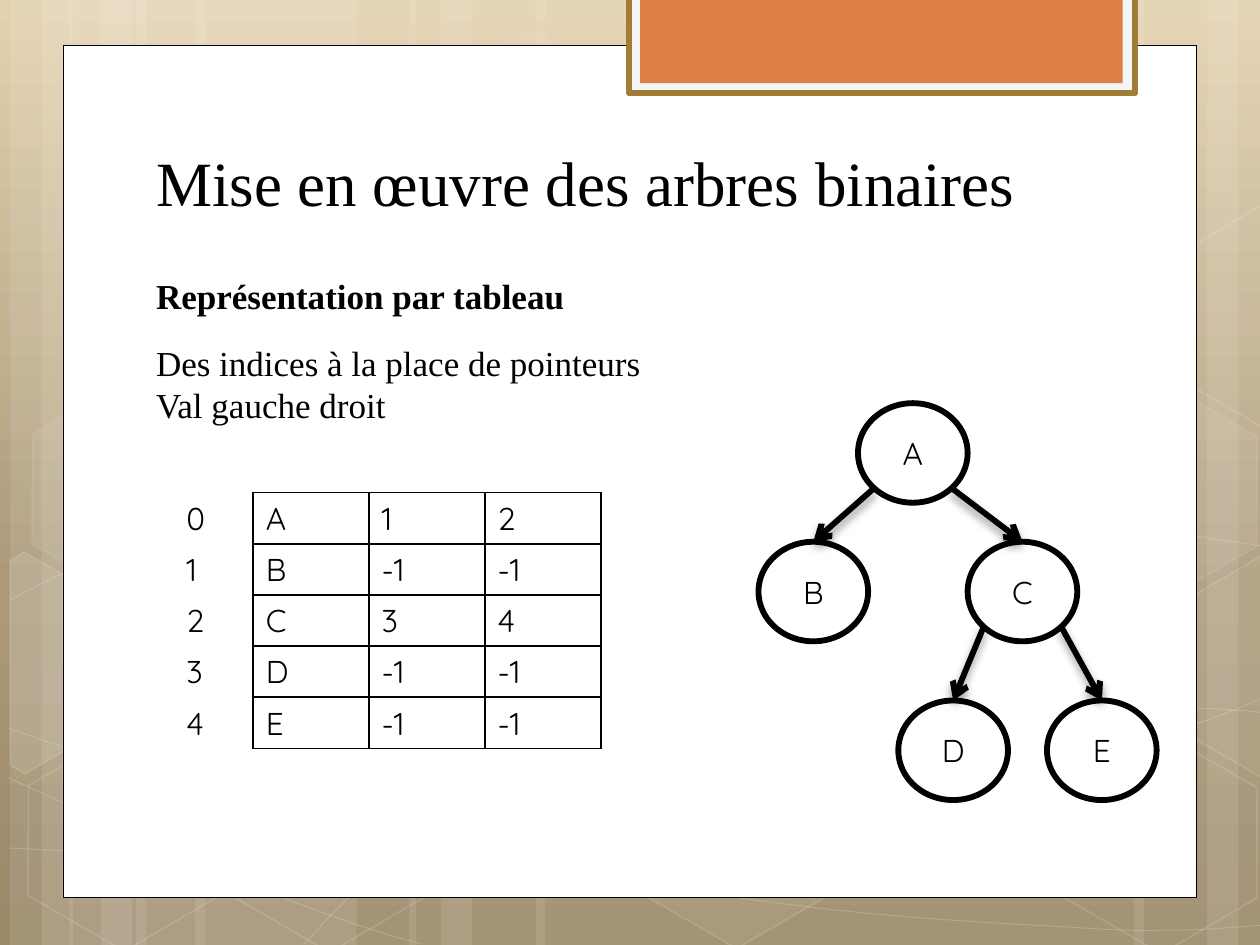
from copy import deepcopy
from math import cos, radians, sin

from lxml.etree import SubElement
from pptx import Presentation
from pptx.dml.color import RGBColor
from pptx.enum.shapes import MSO_CONNECTOR, MSO_SHAPE
from pptx.enum.text import MSO_ANCHOR, PP_ALIGN
from pptx.oxml.ns import qn
from pptx.util import Inches, Pt

HUES = {"white": "FFFFFF", "ink": "000000", "sand": "E3D1AF", "clay": "AB9979",
        "earth": "9A8867", "pale": "F5F5F5", "gold": "A17C36", "orange": "DD8047"}
SERIF, SANS = "Times New Roman", "Quicksand"


def rgb(name):
    """Return a colour of the palette."""
    return RGBColor.from_string(HUES[name])


def fade(part, alpha):
    """Give every colour below an XML part an opacity in percent."""
    for clr in part.iter(qn("a:srgbClr")):
        SubElement(clr, qn("a:alpha")).set("val", str(alpha * 1000))


def style(shape, fill=None, line=None, width=1, fade_fill=100, fade_line=100):
    """Set fill, outline and opacity of a shape, without shadow."""
    shape.shadow.inherit = False
    if fill:
        shape.fill.solid()
        shape.fill.fore_color.rgb = rgb(fill)
        if fade_fill < 100:
            fade(shape.fill._xPr.find(qn("a:solidFill")), fade_fill)
    else:
        shape.fill.background()
    if line:
        shape.line.color.rgb = rgb(line)
        shape.line.width = Pt(width)
        if fade_line < 100:
            fade(shape.line._ln, fade_line)
    else:
        shape.line.fill.background()


def add(slide, kind, box, **look):
    """Add a styled preset shape in a box."""
    shape = slide.shapes.add_shape(kind, *[Inches(v) for v in box])
    style(shape, **look)
    return shape


def trace(slide, points, close=False, **look):
    """Draw a styled outline through points."""
    spots = [(Inches(x), Inches(y)) for x, y in points]
    pen = slide.shapes.build_freeform(*spots[0], scale=1.0)
    pen.add_line_segments(spots[1:], close=close)
    shape = pen.convert_to_shape()
    style(shape, line="white", **look)
    return shape


def bend(shape):
    """Join each three line steps of an outline into one cubic curve."""
    steps = list(shape._element.iter(qn("a:lnTo")))
    for i in range(0, len(steps), 3):
        first, *rest = steps[i:i + 3]
        first.tag = qn("a:cubicBezTo")
        for step in rest:
            first.append(step[0])
            step.getparent().remove(step)


def turn(points, center, angle):
    """Rotate points about a center."""
    (a, b), c, s = center, cos(radians(angle)), sin(radians(angle))
    return [(a + (x - a) * c - (y - b) * s, b + (x - a) * s + (y - b) * c)
            for x, y in points]


def write(par, text, size, font, bold=False):
    """Add one run of text to a paragraph."""
    run = par.add_run()
    run.text = text
    run.font.size, run.font.name, run.font.bold = Pt(size), font, bold
    run.font.color.rgb = rgb("ink")


def label(slide, box, lines, size, bold=False, anchor=MSO_ANCHOR.TOP):
    """Add a text box with one paragraph for each line."""
    frame = slide.shapes.add_textbox(*[Inches(v) for v in box]).text_frame
    frame.word_wrap, frame.vertical_anchor = True, anchor
    for i, line in enumerate(lines):
        par = frame.add_paragraph() if i else frame.paragraphs[0]
        write(par, line, size, SERIF, bold)


STRIPS = [(1.08, 1.75), (0.08, 0.5), (0.33, 0.83), (1.55, 1.75), (0.55, 0.5), (0.8, 0.83),
          (7.33, 1.75), (9.58, 0.5), (9, 0.83), (4.25, 3.08), (3.25, 0.5), (3.5, 0.83)]
WAVES = [
    [(.07, 6.73), (.61, 6.76), (1.15, 6.79), (1.9, 6.78), (2.65, 6.77), (3.58, 6.75),
     (4.58, 6.65), (5.58, 6.55), (7, 6.36), (7.92, 6.17), (8.83, 5.98), (9.77, 5.68),
     (10.07, 5.51)],
    [(.07, 4.77), (.36, 4.61), (.65, 4.46), (1.21, 4.31), (1.78, 4.16), (2.59, 3.94),
     (3.47, 3.87), (4.36, 3.8), (5.44, 3.79), (6.54, 3.87), (7.64, 3.95), (9.47, 4.26),
     (10.07, 4.34)],
    [(.06, 6.17), (1.27, 6.72), (2.47, 7.27), (3.34, 7.49)],
    [(.07, 5.78), (.38, 5.89), (.7, 6), (1.28, 6.16), (1.86, 6.31), (2.73, 6.56),
     (3.57, 6.73), (4.4, 6.9), (5.45, 7.08), (6.28, 7.18), (7.11, 7.29), (8, 7.33),
     (8.53, 7.36), (9.05, 7.4), (9.19, 7.38), (9.45, 7.38), (9.71, 7.37), (9.89, 7.35),
     (10.07, 7.34)],
    [(2.42, 7.49), (2.6, 7.29), (2.78, 7.09), (3.02, 6.91), (3.26, 6.73), (3.6, 6.53),
     (3.88, 6.39), (4.16, 6.25), (4.33, 6.19), (4.7, 6.09), (5.06, 5.99), (5.73, 5.85),
     (6.08, 5.78), (6.44, 5.71), (6.49, 5.71), (6.8, 5.69), (7.11, 5.66), (7.6, 5.63),
     (7.94, 5.62), (8.29, 5.61), (8.86, 5.62), (8.86, 5.62), (9.08, 5.62), (9.31, 5.62),
     (9.53, 5.62), (9.71, 5.63), (9.88, 5.64), (9.97, 5.65), (10.06, 5.66),
     (10.03, 5.65), (10.06, 5.66)]]
# left, top, fill opacity, line opacity
CELLS = [(3.34, 0.36, 4, 8), (4.97, 5.89, 6, 12), (0.11, 5.91, 0, 12), (0.14, 3.12, 7, 8),
         (1.74, 5.92, 0, 12), (7.53, 4.53, 10, 12), (8.34, 5.93, 0, 12), (8.34, 3.14, 7, 8)]
# fill opacity, center, corners
CUTS = [(10, (.36, 5.35), [(.08, 4.45), (.19, 4.38), (.96, 4.82), (.95, 5.7), (.2, 6.14),
                           (.08, 6.07)]),
        (4, (9.85, 5.2), [(9.26, 4.85), (10.01, 4.41), (10.09, 4.46), (10.09, 6.13),
                          (10.02, 6.17), (9.26, 5.73)]),
        (0, (9.85, 2.41), [(9.26, 2.07), (10.01, 1.63), (10.1, 1.68), (10.09, 3.35),
                           (10.02, 3.39), (9.26, 2.95)])]


def backdrop(slide, height):
    """Paint the gradient, strips, waves and hexagons."""
    fill = slide.background.fill
    fill.gradient()
    fill.gradient_angle = 270
    stops = slide.element.find(".//" + qn("a:gsLst"))
    stops.append(deepcopy(stops[-1]))
    for stop, place, hue in zip(fill.gradient_stops, (0, 0.62, 1), ("sand", "clay", "earth")):
        stop.position, stop.color.rgb = place, rgb(hue)
    for left, width in STRIPS:
        add(slide, MSO_SHAPE.RECTANGLE, (left, 0, width, height), fill="white", fade_fill=10)
    for knots in WAVES:
        bend(trace(slide, knots, width=0.5, fade_line=20))
    for left, top, tint, edge in CELLS:
        cell = add(slide, MSO_SHAPE.HEXAGON, (left, top, 1.75, 1.52), line="white",
                   fill="white" if tint else None, fade_fill=tint, fade_line=edge)
        cell.adjustments[0], cell.adjustments[1] = 0.285, 1.155
        cell.rotation = 30
    for tint, center, points in CUTS:
        cut = trace(slide, turn(points, center, -30), True, fill="white" if tint else None,
                    fade_fill=tint, fade_line=12)
        cut.rotation = 30


def card(slide, left, top, width, height):
    """Draw the white page and the orange tab at its top."""
    page = MSO_SHAPE.RECTANGLE
    add(slide, page, (left, top, width, height), fill="white", line="ink", width=0.5)
    add(slide, page, (left + 4.49, -0.02, 4.02, 0.76), fill="pale", line="gold", width=3.35)
    add(slide, page, (left + 4.58, -0.02, 3.83, 0.68), fill="orange")


def grid(slide, left, top, col, rows, ruled):
    """Place a plain table, with black rules or with none."""
    high = 2.03 / len(rows)
    frame = slide.shapes.add_table(len(rows), len(rows[0]), Inches(left), Inches(top),
                                   Inches(col * len(rows[0])), Inches(high * len(rows)))
    table = frame.table
    table.first_row = table.horz_banding = False
    for r, row in enumerate(rows):
        for c, text in enumerate(row):
            cell = table.cell(r, c)
            write(cell.text_frame.paragraphs[0], text, 18, SANS)
            props = cell._tc.get_or_add_tcPr()
            for side in ("lnL", "lnR", "lnT", "lnB"):
                rule = SubElement(props, qn("a:" + side), w=str(Pt(1)))
                paint = SubElement(rule, qn("a:solidFill" if ruled else "a:noFill"))
                if ruled:
                    SubElement(paint, qn("a:srgbClr"), val=HUES["ink"])
            cell.fill.background()


def arrow(slide, start, end):
    """Draw a thick arrow with a soft shadow below it."""
    line = slide.shapes.add_connector(MSO_CONNECTOR.STRAIGHT,
                                      *[Inches(v) for v in start + end])
    line.line.color.rgb, line.line.width = rgb("ink"), Pt(3.35)
    SubElement(line.line._ln, qn("a:tailEnd"), type="arrow")
    effects = SubElement(line._element.spPr, qn("a:effectLst"))
    shade = SubElement(effects, qn("a:outerShdw"), blurRad=str(Pt(5.2)), dist=str(Pt(3)),
                       dir="5400000", rotWithShape="0")
    SubElement(shade, qn("a:srgbClr"), val=HUES["ink"])
    fade(effects, 40)


def tree(slide, left, top):
    """Draw the binary tree from its top left corner."""
    wide, high = 0.87, 0.79
    nodes = {"A": (0.79, 0), "B": (0, 1.1), "C": (1.66, 1.1), "D": (1.11, 2.36),
             "E": (2.29, 2.36)}
    for name, (x, y) in nodes.items():
        node = add(slide, MSO_SHAPE.OVAL, (left + x, top + y, wide, high),
                   fill="white", line="ink", width=3.35)
        node.text_frame.vertical_anchor = MSO_ANCHOR.MIDDLE
        par = node.text_frame.paragraphs[0]
        par.alignment = PP_ALIGN.CENTER
        write(par, name, 18, SANS)
    slant = 0.5 ** 0.5
    for above, below, side in ("AC+", "AB-", "CE+", "CD-"):
        (x, y), (u, v) = nodes[above], nodes[below]
        reach = slant if side == "+" else -slant
        arrow(slide, (left + x + wide / 2 * (1 + reach), top + y + high / 2 * (1 + slant)),
              (left + u + wide / 2, top + v))


def main():
    """Build the slide and save it."""
    deck = Presentation()
    deck.slide_width, deck.slide_height = Inches(10), Inches(7.5)
    slide = deck.slides.add_slide(deck.slide_layouts[6])
    backdrop(slide, 7.5)
    card(slide, 0.5, 0.36, 9, 6.76)
    label(slide, (1.14, 0.85, 7.68, 0.94), ["Mise en œuvre des arbres binaires"], 36,
          anchor=MSO_ANCHOR.BOTTOM)
    label(slide, (1.14, 2.13, 6.46, 0.44), ["Représentation par tableau"], 20, bold=True)
    label(slide, (1.14, 2.66, 6.14, 0.77),
          ["Des indices à la place de pointeurs", "Val gauche droit"], 20)
    tree(slide, 6.02, 3.2)
    rows = [("A", "1", "2"), ("B", "-1", "-1"), ("C", "3", "4"), ("D", "-1", "-1"),
            ("E", "-1", "-1")]
    grid(slide, 2.01, 3.91, 0.92, rows, True)
    grid(slide, 1.38, 3.91, 0.42, [(str(i),) for i in range(len(rows))], False)
    deck.save("out.pptx")


main()
